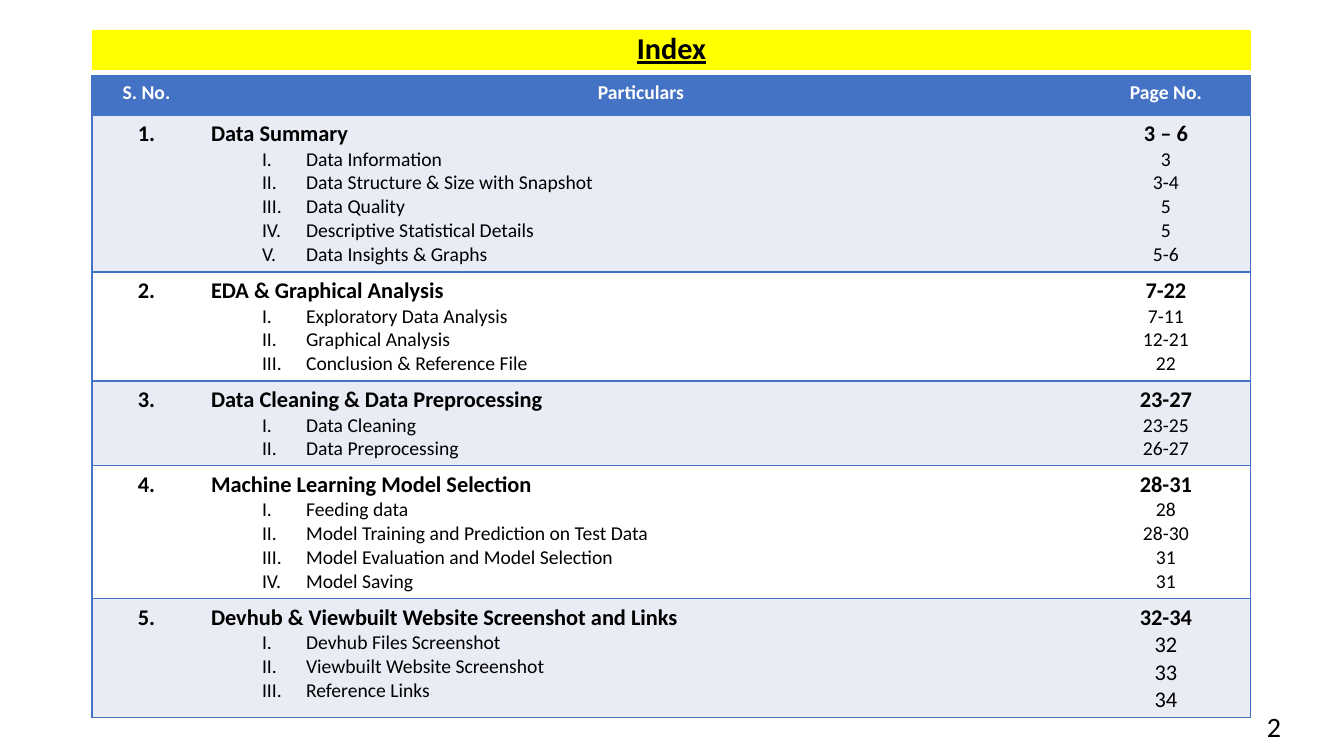
import pptx
import pptx.util
import pptx.dml.color
import pptx.enum.text
import pptx.oxml
import pptx.oxml.ns
from dataclasses import dataclass


@dataclass(frozen=True)
class Theme:
    font: str = "Calibri"
    black: str = "000000"
    white: str = "FFFFFF"
    banner: str = "FFFF00"
    accent: str = "4472C4"
    band: str = "E9EBF5"
    title: float = 21.6
    number: int = 20
    section: int = 16
    item: int = 14


T = Theme()
PX = 914400 / 100.8
ALIGN = pptx.enum.text.PP_ALIGN
MIDDLE = pptx.enum.text.MSO_ANCHOR.MIDDLE


def px(n):
    return pptx.util.Emu(round(n * PX))


def add_run(p, text, size, color=T.black, bold=False, align=ALIGN.CENTER):
    p.alignment = align
    r = p.add_run()
    r.text = text
    r.font.name = T.font
    r.font.size = pptx.util.Pt(size)
    r.font.bold = bold
    r.font.color.rgb = pptx.dml.color.RGBColor.from_string(color)
    return r


sections = [
    ("Data Summary", "3 – 6", T.item, 157, [
        ("Data Information", "3"),
        ("Data Structure & Size with Snapshot", "3-4"),
        ("Data Quality", "5"),
        ("Descriptive Statistical Details", "5"),
        ("Data Insights & Graphs", "5-6")]),
    ("EDA & Graphical Analysis", "7-22", T.item, 109, [
        ("Exploratory Data Analysis", "7-11"),
        ("Graphical Analysis", "12-21"),
        ("Conclusion & Reference File", "22")]),
    ("Data Cleaning & Data Preprocessing", "23-27", T.item, 85, [
        ("Data Cleaning", "23-25"),
        ("Data Preprocessing", "26-27")]),
    ("Machine Learning Model Selection", "28-31", T.item, 133, [
        ("Feeding data", "28"),
        ("Model Training and Prediction on Test Data", "28-30"),
        ("Model Evaluation and Model Selection", "31"),
        ("Model Saving", "31")]),
    ("Devhub & Viewbuilt Website Screenshot and Links", "32-34", T.section, 119, [
        ("Devhub Files Screenshot", "32"),
        ("Viewbuilt Website Screenshot", "33"),
        ("Reference Links", "34")]),
]
headers = ["S. No.", "Particulars", "Page No."]
widths = [109, 880, 170]
heights = [39] + [section[3] for section in sections]

prs = pptx.Presentation()
prs.slide_width, prs.slide_height = px(1344), px(756)
s = prs.slides.add_slide(prs.slide_layouts[6])

title = s.shapes.add_textbox(px(92), px(30), px(1159), px(40))
title.fill.solid()
title.fill.fore_color.rgb = pptx.dml.color.RGBColor.from_string(T.banner)
tf = title.text_frame
tf.word_wrap = True
tf.vertical_anchor = MIDDLE
p = tf.paragraphs[0]
p.line_spacing = 0.9
add_run(p, "Index", T.title, bold=True).font.underline = True

table = s.shapes.add_table(len(heights), len(widths), px(92), px(76),
                           px(sum(widths)), px(sum(heights))).table
for column, width in zip(table.columns, widths):
    column.width = px(width)
for row, height in zip(table.rows, heights):
    row.height = px(height)

for cell, text in zip(table.rows[0].cells, headers):
    add_run(cell.text_frame.paragraphs[0], text, T.item, T.white, True)

for i, (name, pages, page_size, height, items) in enumerate(sections, 1):
    number, particulars, page_no = [c.text_frame for c in table.rows[i].cells]
    add_run(number.paragraphs[0], f"{i}.", T.section, bold=True)
    add_run(particulars.paragraphs[0], name, T.section, bold=True, align=ALIGN.LEFT)
    add_run(page_no.paragraphs[0], pages, T.section, bold=True)
    for item, page in items:
        p = particulars.add_paragraph()
        p.level = 1
        add_run(p, item, T.item, align=ALIGN.LEFT)
        pPr = p._p.get_or_add_pPr()
        pPr.set("marL", str(px(95)))
        pPr.set("indent", str(px(-44)))
        pPr.append(pptx.oxml.parse_xml(
            f'<a:buAutoNum {pptx.oxml.ns.nsdecls("a")} type="romanUcPeriod"/>'))
        add_run(page_no.add_paragraph(), page, page_size)

for i, row in enumerate(table.rows):
    fill = T.accent if i == 0 else T.band if i % 2 else T.white
    for j, cell in enumerate(row.cells):
        cell.fill.solid()
        cell.fill.fore_color.rgb = pptx.dml.color.RGBColor.from_string(fill)
        edges = {"lnL": j == 0, "lnR": j == len(widths) - 1, "lnT": True, "lnB": True}
        for k, (edge, drawn) in enumerate(edges.items()):
            paint = (f'<a:solidFill><a:srgbClr val="{T.accent}"/></a:solidFill>'
                     if drawn else "<a:noFill/>")
            cell._tc.get_or_add_tcPr().insert(k, pptx.oxml.parse_xml(
                f'<a:{edge} {pptx.oxml.ns.nsdecls("a")} w="12700">{paint}</a:{edge}>'))

tf = s.shapes.add_textbox(px(1237), px(706), px(54), px(40)).text_frame
tf.word_wrap = True
tf.vertical_anchor = MIDDLE
add_run(tf.paragraphs[0], "2", T.number, align=ALIGN.RIGHT)

prs.save("out.pptx")
